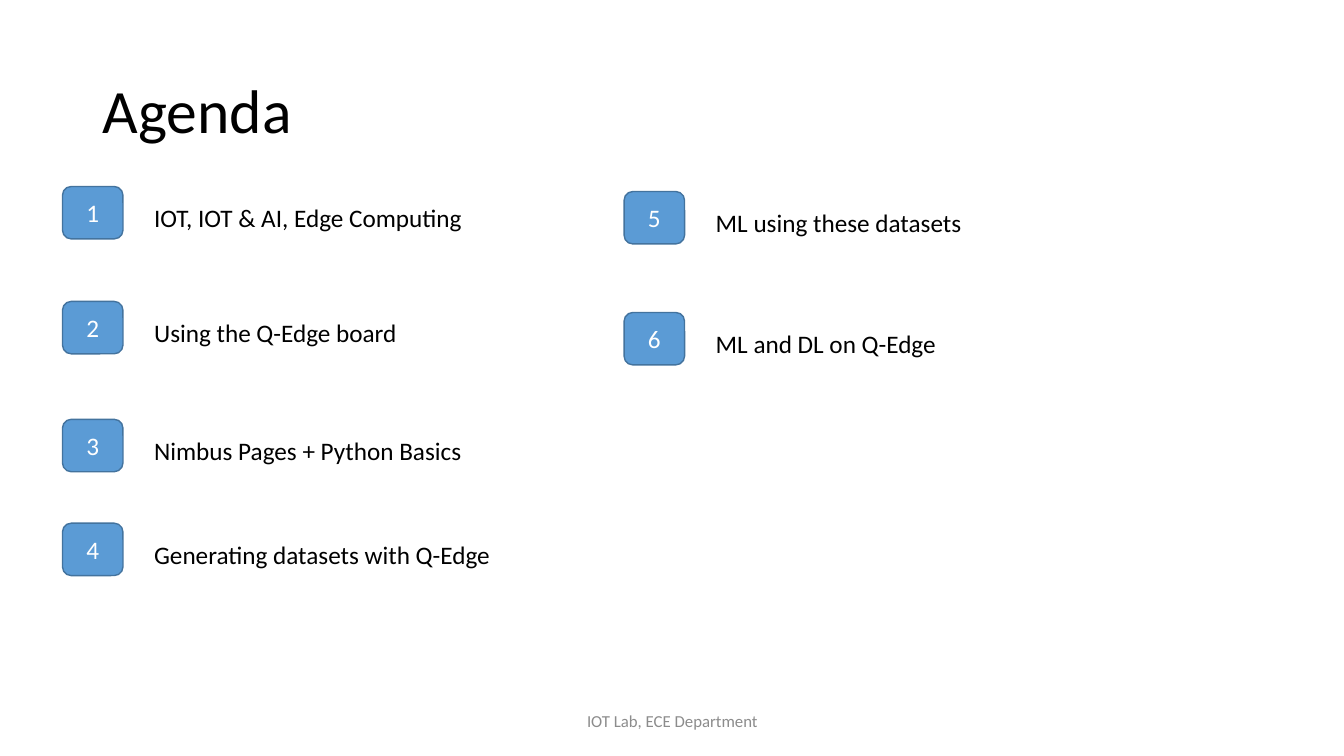
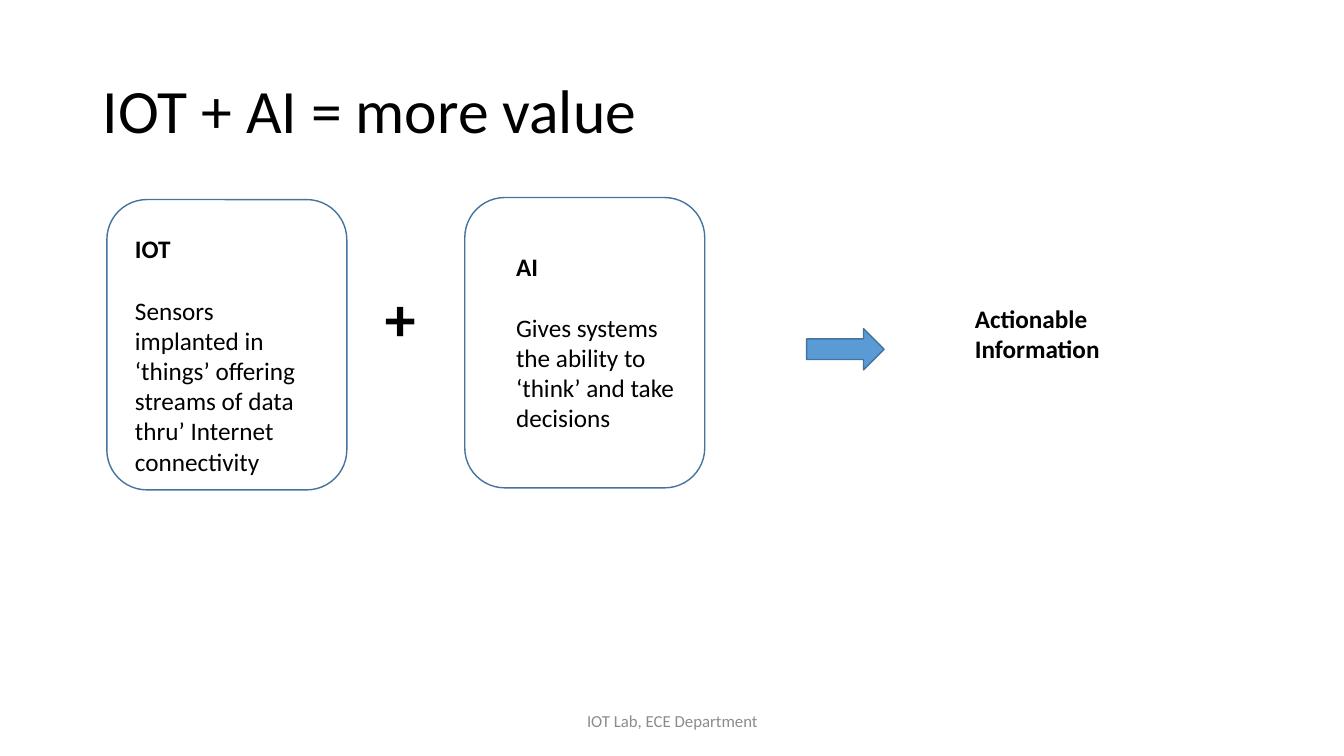
from dataclasses import dataclass

import pptx
import pptx.dml.color
import pptx.enum.shapes
import pptx.enum.text
import pptx.util

Inches = pptx.util.Inches
Pt = pptx.util.Pt
SHAPE = pptx.enum.shapes.MSO_SHAPE
ALIGN = pptx.enum.text.PP_ALIGN
ANCHOR = pptx.enum.text.MSO_ANCHOR


@dataclass(frozen=True)
class Theme:
    font: str = "Calibri"
    text: str = "000000"
    muted: str = "8C8C8C"
    accent: str = "5B9BD5"
    outline: str = "43739E"
    on_accent: str = "FFFFFF"
    title_size: int = 44
    body_size: int = 18
    footer_size: int = 12
    line_width: int = 1
    paragraph_gap: int = 22


THEME = Theme()
FOOTER = "IOT Lab, ECE Department"


def rgb(value):
    return pptx.dml.color.RGBColor.from_string(value)


def format_paragraph(p, size=THEME.body_size, color=THEME.text, bold=False,
                     align=ALIGN.LEFT):
    p.alignment = align
    for r in p.runs:
        r.font.name = THEME.font
        r.font.size = Pt(size)
        r.font.bold = bold
        r.font.color.rgb = rgb(color)


def add_text(slide, box, text, anchor=ANCHOR.TOP, **style):
    """Add a wrapping text box; box is (left, top, width, height) in inches."""
    sp = slide.shapes.add_textbox(*map(Inches, box))
    tf = sp.text_frame
    tf.word_wrap = True
    tf.vertical_anchor = anchor
    tf.text = text
    format_paragraph(tf.paragraphs[0], **style)
    return sp


def add_outlined(slide, kind, box, fill=None):
    sp = slide.shapes.add_shape(kind, *map(Inches, box))
    sp.shadow.inherit = False
    sp.line.color.rgb = rgb(THEME.outline)
    sp.line.width = Pt(THEME.line_width)
    if fill:
        sp.fill.solid()
        sp.fill.fore_color.rgb = rgb(fill)
    else:
        sp.fill.background()
    return sp


def add_titled_slide(prs, title):
    """Add a slide with the shared title style and footer."""
    slide = prs.slides.add_slide(prs.slide_layouts.get_by_name("Title Only"))
    sp = slide.shapes.title
    sp.left, sp.top, sp.width, sp.height = map(Inches, (0.92, 0.4, 11.5, 1.45))
    tf = sp.text_frame
    tf.text = title
    tf.word_wrap = True
    tf.auto_size = pptx.enum.text.MSO_AUTO_SIZE.NONE
    tf.vertical_anchor = ANCHOR.MIDDLE
    p = tf.paragraphs[0]
    p.line_spacing = 0.9
    format_paragraph(p, THEME.title_size)
    add_text(slide, (4.42, 6.95, 4.5, 0.4), FOOTER, ANCHOR.MIDDLE,
             size=THEME.footer_size, color=THEME.muted, align=ALIGN.CENTER)
    return slide


def add_agenda_item(slide, left, top, number, label):
    badge = add_outlined(slide, SHAPE.ROUNDED_RECTANGLE,
                         (left, top, 0.6, 0.52), THEME.accent)
    tf = badge.text_frame
    tf.vertical_anchor = ANCHOR.MIDDLE
    tf.text = str(number)
    format_paragraph(tf.paragraphs[0], color=THEME.on_accent,
                     align=ALIGN.CENTER)
    add_text(slide, (left + 0.81, top + 0.11, 3.82, 0.4), label)


def add_concept_card(slide, left, top, text_offset, text_height, heading, body):
    """Add an outlined card; text_offset is measured from its top left corner."""
    add_outlined(slide, SHAPE.ROUNDED_RECTANGLE, (left, top, 2.38, 2.88))
    dx, dy = text_offset
    sp = add_text(slide, (left + dx, top + dy, 1.82, text_height), heading,
                  bold=True)
    sp.text_frame.paragraphs[0].space_after = Pt(THEME.paragraph_gap)
    p = sp.text_frame.add_paragraph()
    p.text = body
    format_paragraph(p)


def build_agenda(prs):
    slide = add_titled_slide(prs, "Agenda")
    columns = [
        (0.62, [(1.85, "IOT, IOT & AI, Edge Computing"),
                (2.99, "Using the Q-Edge board"),
                (4.16, "Nimbus Pages + Python Basics"),
                (5.19, "Generating datasets with Q-Edge")]),
        (6.19, [(1.9, "ML using these datasets"),
                (3.1, "ML and DL on Q-Edge")]),
    ]
    items = [(left, top, label) for left, rows in columns for top, label in rows]
    for number, (left, top, label) in enumerate(items, 1):
        add_agenda_item(slide, left, top, number, label)


def build_value(prs):
    slide = add_titled_slide(prs, "IOT + AI = more value")
    add_concept_card(slide, 1.06, 1.98, (0.18, 0.29), 2.52, "IOT",
                     "Sensors implanted in ‘things’ offering streams of data "
                     "thru’ Internet connectivity")
    add_concept_card(slide, 4.61, 1.96, (0.41, 0.48), 1.92, "AI",
                     "Gives systems the ability to ‘think’ and take decisions")
    add_text(slide, (3.72, 2.73, 0.7, 0.84), "+",
             size=THEME.title_size, bold=True)
    add_outlined(slide, SHAPE.RIGHT_ARROW, (8, 3.26, 0.77, 0.41), THEME.accent)
    add_text(slide, (9.57, 2.96, 1.82, 0.71), "Actionable Information",
             bold=True)


def main():
    prs = pptx.Presentation()
    prs.slide_width, prs.slide_height = Inches(13.33), Inches(7.5)
    build_agenda(prs)
    build_value(prs)
    prs.save("out.pptx")


if __name__ == "__main__":
    main()
